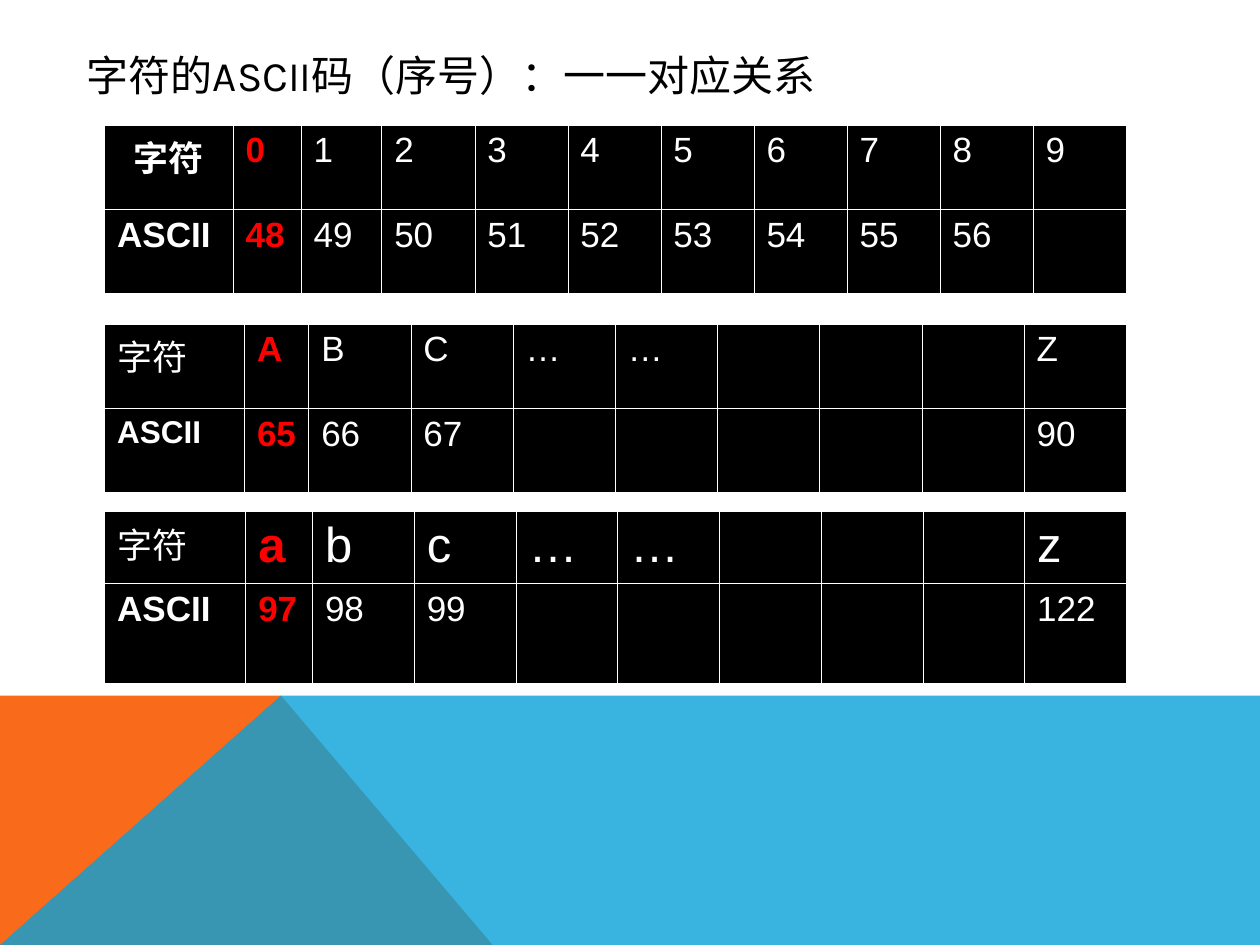
from lxml.etree import SubElement
from pptx import Presentation
from pptx.dml.color import RGBColor
from pptx.enum.text import MSO_ANCHOR, MSO_AUTO_SIZE, PP_ALIGN
from pptx.oxml.ns import qn
from pptx.util import Inches, Pt

COLORS = {"black": "000000", "white": "FFFFFF", "red": "FF0000",
          "orange": "F96A1B", "blue": "08A1D9"}


def color(name):
    return RGBColor.from_string(COLORS[name])


def add_title(slide, left, top, width, height):
    title = slide.shapes.title
    title.left, title.top = Inches(left), Inches(top)
    title.width, title.height = Inches(width), Inches(height)
    frame = title.text_frame
    frame.auto_size = MSO_AUTO_SIZE.NONE
    frame.vertical_anchor = MSO_ANCHOR.BOTTOM
    frame.text = "字符的ASCII码（序号）：一一对应关系"
    para = frame.paragraphs[0]
    para.alignment = PP_ALIGN.LEFT
    para.font.name = "Karla"
    para.font.size = Pt(24)
    para.font.color.rgb = color("black")


def add_area(slide, points, name):
    spots = [(Inches(x), Inches(y)) for x, y in points]
    pen = slide.shapes.build_freeform(*spots[0])
    pen.add_line_segments(spots[1:], close=True)
    area = pen.convert_to_shape()
    area.shadow.inherit = False
    area.fill.solid()
    area.fill.fore_color.rgb = color(name)
    area.line.fill.background()
    return area


def add_footer(slide, left, top, width, height):
    right, base = left + width, top + height
    peak = (left + 2.23, top)
    add_area(slide, [(left, base), (left, top), peak, (left + 3.91, base)], "orange")
    wave = add_area(slide, [(left, base), peak, (right, top), (right, base)], "blue")
    tint = next(wave.element.spPr.iter(qn("a:srgbClr")))
    SubElement(tint, qn("a:alpha"), val="80000")


def add_border(cell):
    props = cell._tc.get_or_add_tcPr()
    for spot, side in enumerate(("lnL", "lnR", "lnT", "lnB")):
        line = props.makeelement(qn("a:" + side), {"w": str(Pt(0.23))})
        props.insert(spot, line)
        fill = SubElement(line, qn("a:solidFill"))
        SubElement(fill, qn("a:srgbClr"), val=COLORS["white"])


def add_codes(slide, left, top, width, heights, first, rows, sizes, bold=False):
    count = len(rows[0])
    rest = (width - sum(first)) / (count - len(first))
    widths = first + [rest] * (count - len(first))
    frame = slide.shapes.add_table(
        len(rows), count, Inches(left), Inches(top), Inches(width), Inches(sum(heights)))
    table = frame.table
    for col, size in zip(table.columns, widths):
        col.width = Inches(size)
    for r, (row, height) in enumerate(zip(rows, heights)):
        table.rows[r].height = Inches(height)
        for c, text in enumerate(row):
            cell = table.cell(r, c)
            cell.fill.solid()
            cell.fill.fore_color.rgb = color("black")
            add_border(cell)
            cell.text = text
            para = cell.text_frame.paragraphs[0]
            font = para.font
            font.name = "Arial"
            font.size = Pt(sizes[r][min(c, 1)])
            font.bold = c == 1 or (c == 0 and (r == 1 or bold))
            font.color.rgb = color("red" if c == 1 else "white")
    return table


def main():
    deck = Presentation()
    deck.slide_width, deck.slide_height = Inches(10), Inches(7.5)
    slide = deck.slides.add_slide(deck.slide_layouts[5])
    add_footer(slide, 0, 5.52, 10, 1.98)
    add_title(slide, 0.59, 0.29, 6.85, 0.55)

    left, width = 0.83, 8.11
    gap = [""] * 3
    digits = [["字符"] + [str(n) for n in range(10)],
              ["ASCII"] + [str(ord("0") + n) for n in range(9)] + [""]]
    upper = [["字符", "A", "B", "C", "…", "…", *gap, "Z"],
             ["ASCII", "65", "66", "67", "", "", *gap, "90"]]
    lower = [["字符", "a", "b", "c", "…", "…", *gap, "z"],
             ["ASCII", "97", "98", "99", "", "", *gap, "122"]]
    table = add_codes(slide, left, 0.99, width, [0.67, 0.67], [1.02, 0.54, 0.64],
                      digits, [(20, 20), (20, 20)], bold=True)
    table.cell(0, 0).text_frame.paragraphs[0].alignment = PP_ALIGN.CENTER
    add_codes(slide, left, 2.57, width, [0.67, 0.67], [1.11, 0.51],
              upper, [(20, 20), (18, 20)])
    add_codes(slide, left, 4.06, width, [0.57, 0.79], [1.12, 0.53],
              lower, [(20, 28), (20, 20)])
    deck.save("out.pptx")


if __name__ == "__main__":
    main()
